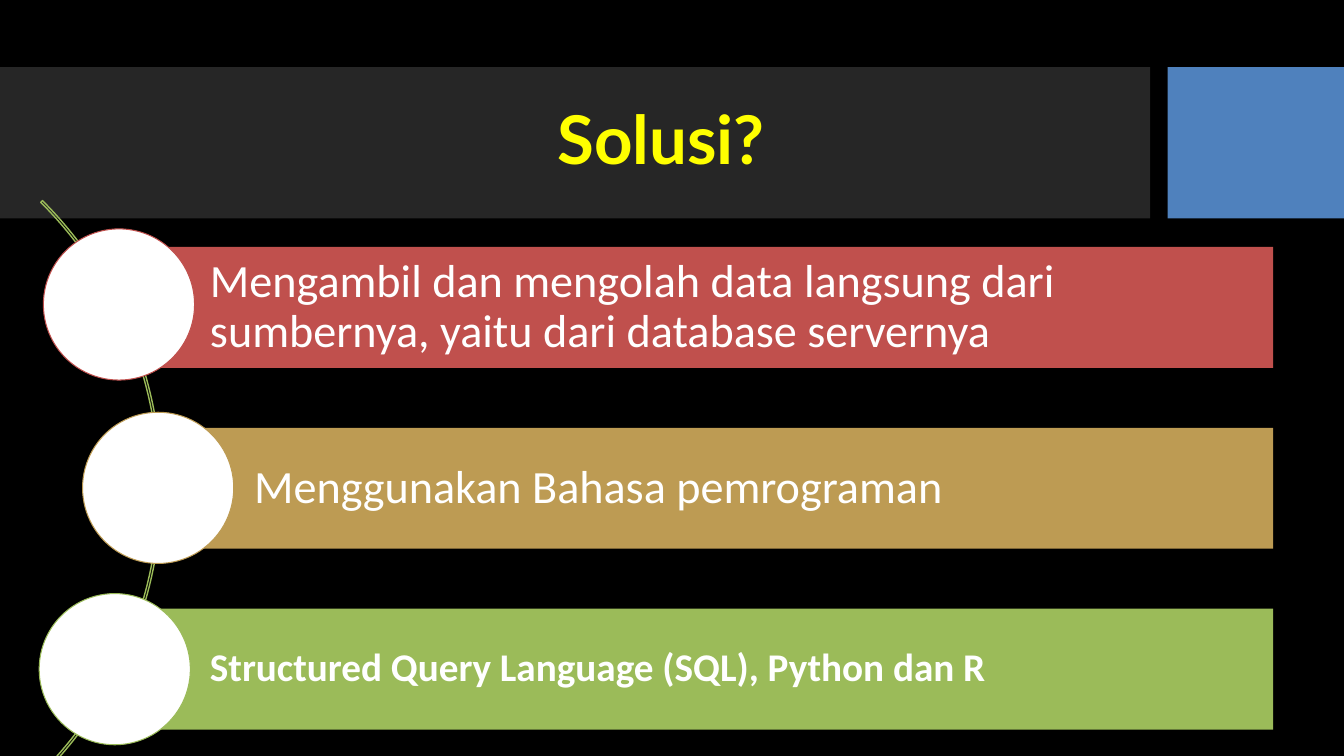
import pptx
import pptx.util
import pptx.dml.color
import pptx.enum.shapes
import pptx.enum.text

Pt = pptx.util.Pt
SHAPE = pptx.enum.shapes.MSO_SHAPE
ALIGN = pptx.enum.text.PP_ALIGN

HEADING = "Solusi?"
# text, size, bold, colour, bar left, circle left, circle top
SOLUTIONS = [
    ("Mengambil dan mengolah data langsung dari sumbernya, yaitu dari database servernya",
     33, False, "C0504D", 81.5, 31, 163.5),
    ("Menggunakan Bahasa pemrograman", 33, False, "BD9B53", 113, 59, 294.5),
    ("Structured Query Language (SQL), Python dan R",
     28, True, "9BBB59", 81.5, 28, 424),
]
BAND_TOP, BAND_HEIGHT = 48, 108
BAR_TOP, BAR_STEP, BAR_HEIGHT, BAR_RIGHT = 176.4, 129.2, 86.4, 909.5
CIRCLE = 108


def rgb(value):
    return pptx.dml.color.RGBColor.from_string(value)


def add_shape(kind, left, top, width, height, fill=None, line=None, line_width=0.75):
    shape = slide.shapes.add_shape(kind, Pt(left), Pt(top), Pt(width), Pt(height))
    shape.shadow.inherit = False
    if fill:
        shape.fill.solid()
        shape.fill.fore_color.rgb = rgb(fill)
    else:
        shape.fill.background()
    if line:
        shape.line.color.rgb = rgb(line)
        shape.line.width = Pt(line_width)
    else:
        shape.line.fill.background()
    return shape


def write(shape, text, size, color, font="Calibri", bold=False, align=ALIGN.LEFT,
          insets=(7.2, 3.6, 7.2, 3.6)):
    frame = shape.text_frame
    frame.word_wrap = True
    frame.auto_size = pptx.enum.text.MSO_AUTO_SIZE.NONE
    frame.vertical_anchor = pptx.enum.text.MSO_ANCHOR.MIDDLE
    frame.margin_left, frame.margin_top, frame.margin_right, frame.margin_bottom = map(Pt, insets)
    paragraph = frame.paragraphs[0]
    paragraph.alignment = align
    paragraph.line_spacing = 0.9
    run = paragraph.add_run()
    run.text = text
    run.font.name = font
    run.font.size = Pt(size)
    run.font.bold = bold
    run.font.color.rgb = rgb(color)


deck = pptx.Presentation()
deck.slide_width, deck.slide_height = Pt(960), Pt(540)
slide = deck.slides.add_slide(deck.slide_layouts[5])
slide.background.fill.solid()
slide.background.fill.fore_color.rgb = rgb("000000")

add_shape(SHAPE.RECTANGLE, 0, BAND_TOP, 821.5, BAND_HEIGHT, "262626")
add_shape(SHAPE.RECTANGLE, 834, BAND_TOP, 126, BAND_HEIGHT, "4F81BD")

heading = slide.shapes.title
heading.left, heading.top, heading.width, heading.height = map(Pt, (25.2, 71.3, 894.2, 61.9))
write(heading, HEADING, 48, "FFFF00", font="Lato", bold=True, align=ALIGN.CENTER)
slide.shapes._spTree.append(heading._element)  # bring the title in front of the band

arc = add_shape(SHAPE.BLOCK_ARC, -465, 58.3, 580.3, 580.3, line="9BBB59", line_width=1)
for index, value in enumerate((189, 27, 0.003)):
    arc.adjustments[index] = value

for row, (text, size, bold, color, left, circle_left, circle_top) in enumerate(SOLUTIONS):
    bar = add_shape(SHAPE.RECTANGLE, left, BAR_TOP + row * BAR_STEP,
                    BAR_RIGHT - left, BAR_HEIGHT, color)
    write(bar, text, size, "FFFFFF", bold=bold, insets=(68.5, 6.2, 6.2, 6.2))
    add_shape(SHAPE.OVAL, circle_left, circle_top, CIRCLE, CIRCLE, "FFFFFF", line=color)

deck.save("out.pptx")
